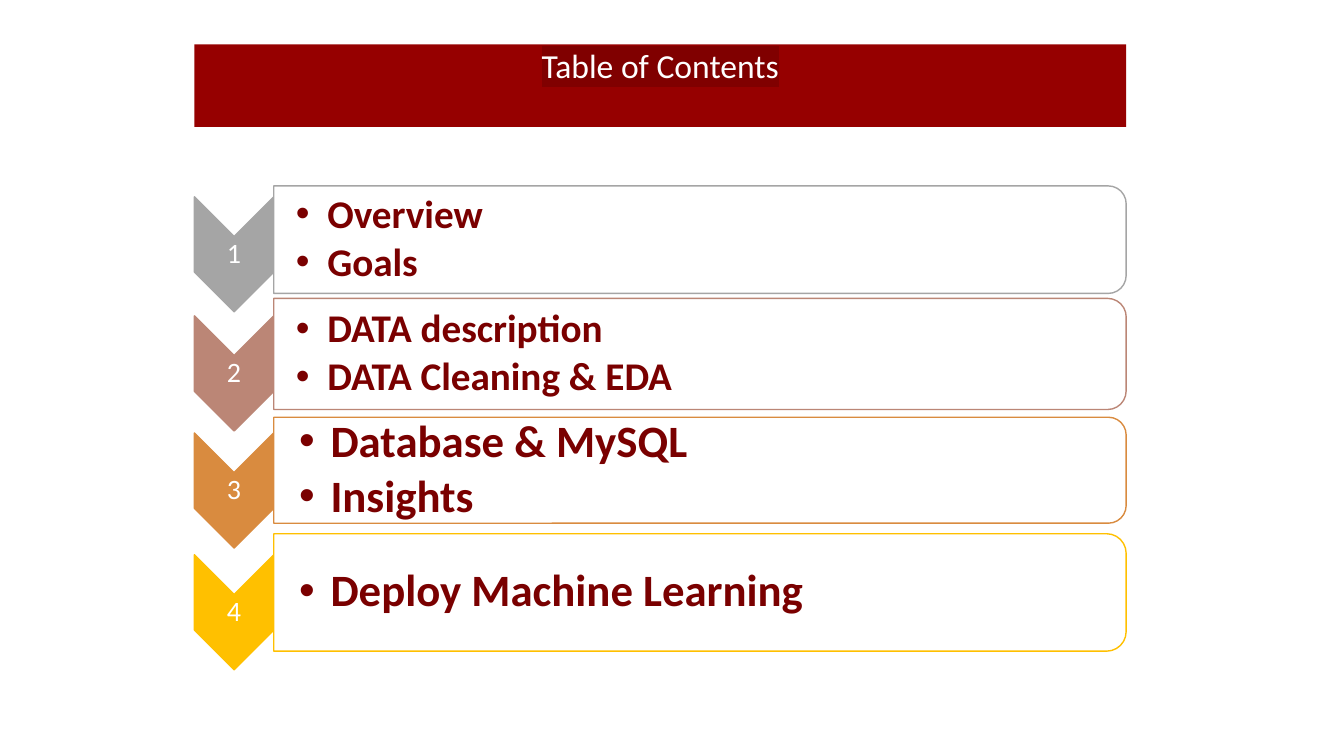
from lxml.etree import SubElement
from pptx import Presentation
from pptx.dml.color import RGBColor
from pptx.enum.shapes import MSO_SHAPE
from pptx.enum.text import MSO_ANCHOR, PP_ALIGN
from pptx.oxml.ns import qn
from pptx.util import Cm, Pt


def rgb(value):
    return RGBColor.from_string(value)


def add_text(tf, text, size, color, bold=False, align=PP_ALIGN.LEFT,
             after=0, bullet=False, highlight=None, first=True):
    p = tf.paragraphs[0] if first else tf.add_paragraph()
    p.alignment = align
    p.line_spacing = 0.9
    p.space_before = Pt(0)
    p.space_after = Pt(after)
    if bullet:
        pPr = p._p.get_or_add_pPr()
        pPr.set("marL", str(Cm(0.79)))
        pPr.set("indent", str(-Cm(0.79)))
        SubElement(pPr, qn("a:buFont")).set("typeface", "Arial")
        SubElement(pPr, qn("a:buChar")).set("char", "•")
    r = p.add_run()
    r.text = text
    r.font.size = Pt(size)
    r.font.bold = bold
    r.font.color.rgb = rgb(color)
    if highlight:
        mark = SubElement(r._r.get_or_add_rPr(), qn("a:highlight"))
        SubElement(mark, qn("a:srgbClr")).set("val", highlight)
    r.font.name = "Calibri"


class ContentsSlide:
    TITLE_FILL, TITLE_MARK = "960000", "800000"
    WHITE, ITEM = "FFFFFF", "7A0000"
    LEFT, BAR_LEFT, RIGHT = 4.9, 6.9, 28.38

    def __init__(self, prs):
        self.s = prs.slides.add_slide(prs.slide_layouts[6])

    def shape(self, kind, cx, cy, w, h, fill, line=None, rotation=0):
        sp = self.s.shapes.add_shape(
            kind, Cm(cx - w / 2), Cm(cy - h / 2), Cm(w), Cm(h))
        sp.shadow.inherit = False
        sp.rotation = rotation
        sp.fill.solid()
        sp.fill.fore_color.rgb = rgb(fill)
        if line:
            sp.line.color.rgb = rgb(line)
            sp.line.width = Pt(1)
        else:
            sp.line.fill.background()
        return sp

    def text_box(self, x, cy, w, h, inset_left, inset):
        tf = self.s.shapes.add_textbox(
            Cm(x), Cm(cy - h / 2), Cm(w), Cm(h)).text_frame
        tf.word_wrap = True
        tf.vertical_anchor = MSO_ANCHOR.MIDDLE
        tf.margin_left = Cm(inset_left)
        tf.margin_top = tf.margin_right = tf.margin_bottom = Cm(inset)
        return tf

    def title(self, text):
        w = self.RIGHT - self.LEFT
        sp = self.shape(MSO_SHAPE.RECTANGLE, self.LEFT + w / 2, 2.16, w, 2.08,
                        self.TITLE_FILL)
        tf = sp.text_frame
        tf.word_wrap = True
        tf.vertical_anchor = MSO_ANCHOR.TOP
        add_text(tf, text, 24, self.WHITE, align=PP_ALIGN.CENTER,
                 highlight=self.TITLE_MARK)

    def chevron(self, number, cy, color):
        w = self.BAR_LEFT - self.LEFT
        self.shape(MSO_SHAPE.CHEVRON, self.LEFT + w / 2, cy, 2.9, w,
                   color, color, rotation=90)
        tf = self.text_box(self.LEFT, cy, w, 0.86, 0.03, 0.03)
        add_text(tf, str(number), 20, self.WHITE, align=PP_ALIGN.CENTER, after=7)

    def bar(self, items, cy, h, color, size):
        w = self.RIGHT - self.BAR_LEFT
        self.shape(MSO_SHAPE.ROUND_2_SAME_RECTANGLE, self.BAR_LEFT + w / 2, cy,
                   h, w, self.WHITE, color, rotation=90)
        tf = self.text_box(self.BAR_LEFT, cy, w - 0.14, h - 0.25,
                           size * 0.02, 0.05)
        for i, item in enumerate(items):
            add_text(tf, item, size, self.ITEM, bold=True, bullet=True,
                     after=size * 0.15, first=i == 0)


# Chevron centre, bar centre and bar height in cm, colour, text size, items
SECTIONS = [
    (6.41, 6.04, 2.71, "A5A5A5", 28, ["Overview", "Goals"]),
    (9.41, 8.92, 2.8, "BB8676", 28, ["DATA description", "DATA Cleaning & EDA"]),
    (12.36, 11.85, 2.67, "D98B3F", 32, ["Database & MySQL", "Insights"]),
    (15.43, 14.93, 2.96, "FFC000", 32, ["Deploy Machine Learning"]),
]


def main():
    prs = Presentation()
    prs.slide_width, prs.slide_height = Cm(33.87), Cm(19.05)
    contents = ContentsSlide(prs)

    # Numbered sections
    for number, section in enumerate(SECTIONS, 1):
        chevron_y, bar_y, height, color, size, items = section
        contents.chevron(number, chevron_y, color)
        contents.bar(items, bar_y, height, color, size)

    # Title band
    contents.title("Table of Contents")
    prs.save("out.pptx")


if __name__ == "__main__":
    main()
